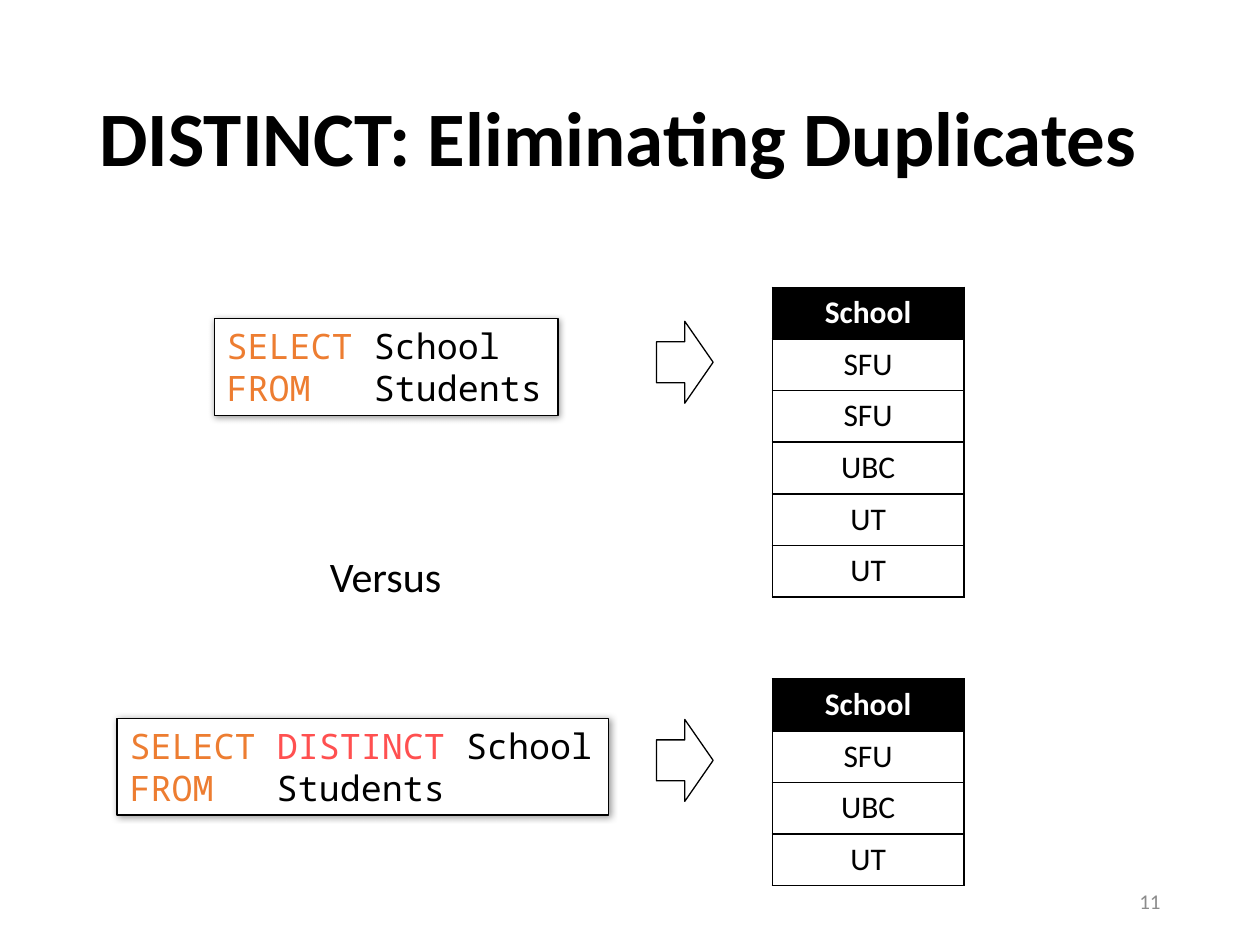
from lxml import etree
from pptx import Presentation
from pptx.dml.color import RGBColor
from pptx.enum.shapes import MSO_SHAPE
from pptx.enum.text import MSO_ANCHOR, MSO_AUTO_SIZE, PP_ALIGN
from pptx.oxml import parse_xml
from pptx.oxml.ns import nsdecls, qn
from pptx.util import Inches, Pt

RECT, ARROW = MSO_SHAPE.RECTANGLE, MSO_SHAPE.RIGHT_ARROW
TOP, MIDDLE = MSO_ANCHOR.TOP, MSO_ANCHOR.MIDDLE
LEFT, CENTER, RIGHT = PP_ALIGN.LEFT, PP_ALIGN.CENTER, PP_ALIGN.RIGHT
FIXED, GROW = MSO_AUTO_SIZE.NONE, MSO_AUTO_SIZE.SHAPE_TO_FIT_TEXT
BLACK, WHITE, GRAY = "000000", "FFFFFF", "8C8C8C"
ORANGE, RED = "ED7D31", "FF5050"
SHADOW = (
    f'<a:effectLst {nsdecls("a")}>'
    '<a:outerShdw blurRad="50800" dist="12700" dir="2700000" rotWithShape="0">'
    '<a:srgbClr val="000000"><a:alpha val="40000"/></a:srgbClr>'
    '</a:outerShdw></a:effectLst>'
)


def rgb(code):
    return RGBColor.from_string(code)


def write(para, text, color, **form):
    """Add a run; form holds font attributes such as name, size and bold."""
    run = para.add_run()
    run.text = text
    run.font.color.rgb = rgb(color)
    for key, value in form.items():
        setattr(run.font, key, value)


prs = Presentation()
prs.slide_width, prs.slide_height = Inches(10), Inches(7.5)
slide = prs.slides.add_slide(prs.slide_layouts[6])
shapes = slide.shapes

# Title, middle label and page number
labels = [
    ("DISTINCT: Eliminating Duplicates", (0.69, 0.4, 8.62, 1.45), 44, BLACK, True, LEFT, 0.9,
     {"word_wrap": True, "auto_size": FIXED, "vertical_anchor": MIDDLE}),
    ("Versus", (2.52, 4.32, 1.1, 0.5), 24, BLACK, False, LEFT, 1.0,
     {"word_wrap": False, "auto_size": GROW, "vertical_anchor": TOP}),
    ("11", (7.06, 6.95, 2.25, 0.4), 12, GRAY, False, RIGHT, 1.0,
     {"word_wrap": True, "auto_size": FIXED, "vertical_anchor": MIDDLE}),
]
for text, place, size, color, bold, align, space, form in labels:
    frame = shapes.add_textbox(*map(Inches, place)).text_frame
    for key, value in form.items():
        setattr(frame, key, value)
    para = frame.paragraphs[0]
    para.alignment, para.line_spacing = align, space
    write(para, text, color, name="Calibri", size=Pt(size), bold=bold)

# Each query: box left, top and width, code lines, arrow top, table top, rows
last = [("FROM", ORANGE), ("   Students", BLACK)]
queries = [
    (1.7, 2.53, 2.73, [[("SELECT", ORANGE), (" School", BLACK)], last],
     2.55, 2.28, ["SFU", "SFU", "UBC", "UT", "UT"]),
    (0.93, 5.7, 3.9, [[("SELECT ", ORANGE), ("DISTINCT", RED), (" School", BLACK)], last],
     5.71, 5.39, ["SFU", "UBC", "UT"]),
]
row_high = 0.41
for left, top, width, code, arrow_top, table_top, schools in queries:
    box = shapes.add_shape(RECT, Inches(left), Inches(top), Inches(width), Inches(0.77))
    arrow = shapes.add_shape(ARROW, Inches(5.21), Inches(arrow_top), Inches(0.45), Inches(0.65))
    for shape in (box, arrow):
        shape.shadow.inherit = False
        shape.line.color.rgb = rgb(BLACK)
        shape.line.width = Pt(0.75)
    arrow.fill.background()
    arrow.adjustments[1] = 0.5
    box.fill.solid()
    box.fill.fore_color.rgb = rgb(WHITE)
    props = box._element.spPr
    props.replace(props.find(qn("a:effectLst")), parse_xml(SHADOW))

    frame = box.text_frame
    frame.word_wrap = False
    frame.auto_size = GROW
    frame.vertical_anchor = TOP
    for num, line in enumerate(code):
        para = frame.add_paragraph() if num else frame.paragraphs[0]
        para.alignment = LEFT
        for text, color in line:
            write(para, text, color, name="Noto Sans Mono", size=Pt(20))

    rows = ["School"] + schools
    table = shapes.add_table(len(rows), 1, Inches(6.13), Inches(table_top),
                             Inches(1.52), Inches(row_high * len(rows))).table
    for num, text in enumerate(rows):
        head = num == 0
        table.rows[num].height = Inches(row_high)
        cell = table.cell(num, 0)
        props = cell._tc.get_or_add_tcPr()
        for side in ("a:lnL", "a:lnR", "a:lnT", "a:lnB"):
            edge = etree.SubElement(props, qn(side), w=str(Pt(1)))
            fill = etree.SubElement(edge, qn("a:solidFill"))
            etree.SubElement(fill, qn("a:srgbClr"), val=BLACK)
        cell.fill.solid()
        cell.fill.fore_color.rgb = rgb(BLACK if head else WHITE)
        para = cell.text_frame.paragraphs[0]
        para.alignment = CENTER
        write(para, text, WHITE if head else BLACK, name="Calibri", size=Pt(18), bold=head)

prs.save("out.pptx")
